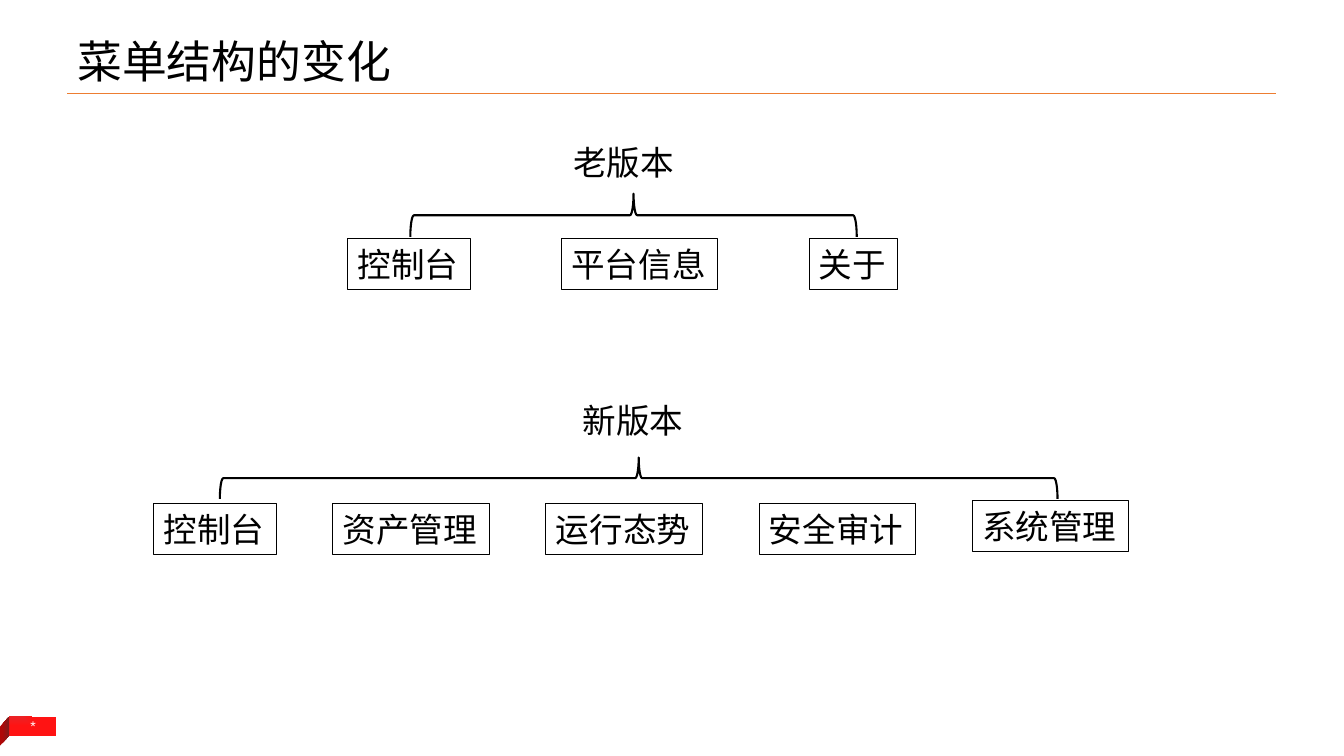
from dataclasses import dataclass

from lxml import etree
from pptx import Presentation
from pptx import util as u
from pptx.dml.color import RGBColor
from pptx.enum import shapes, text
from pptx.oxml.ns import qn
from pptx.shapes.autoshape import Shape
from pptx.slide import Slide


@dataclass(frozen=True)
class Theme:
    ink: str = "000000"
    paper: str = "FFFFFF"
    rule: str = "ED7D31"
    ribbon: tuple = ((0, "EC2225"), (100, "FF1313"))
    fold: tuple = ((0, "AF0707"), (47, "AF0707"), (100, "7F1B1B"))
    title_font: str = "Calibri"
    body_font: str = "Noto Sans CJK SC"
    marker_font: str = "Arial"
    title_size: int = 32
    body_size: int = 24
    marker_size: int = 10
    thin: float = 0.75
    thick: float = 1.5


@dataclass(frozen=True)
class Box:
    left: float
    top: float
    width: float
    height: float

    def lengths(self) -> list[u.Length]:
        return [u.Cm(value) for value in (self.left, self.top, self.width, self.height)]


@dataclass(frozen=True)
class Menu:
    caption: str
    caption_box: Box
    brace: Box
    items: tuple[str, ...]
    left: float
    top: float
    gap: float
    last_lift: float = 0


THEME = Theme()
ITEM_HEIGHT = 1.28
CHARACTER_WIDTH = 0.85
ITEM_PADDING = 0.54

MENUS = (
    Menu("老版本", Box(14.2, 3.45, 3.07, ITEM_HEIGHT), Box(10.34, 4.88, 11.25, 1.09),
         ("控制台", "平台信息", "关于"), 8.76, 6.02, 2.3),
    Menu("新版本", Box(14.43, 9.96, 3.07, ITEM_HEIGHT), Box(5.54, 11.53, 21.11, 1.04),
         ("控制台", "资产管理", "运行态势", "安全审计", "系统管理"), 3.87, 12.7, 1.43, 0.08),
)


def write(shape: Shape, words: str, font: str = THEME.body_font,
          size: int = THEME.body_size, color: str = THEME.ink) -> None:
    frame = shape.text_frame
    frame.word_wrap = False
    frame.auto_size = text.MSO_AUTO_SIZE.SHAPE_TO_FIT_TEXT
    frame.vertical_anchor = text.MSO_ANCHOR.TOP
    paragraph = frame.paragraphs[0]
    paragraph.text = words
    paragraph.alignment = text.PP_ALIGN.LEFT
    paragraph.font.size = u.Pt(size)
    paragraph.font.color.rgb = RGBColor.from_string(color)
    paragraph.font.name = font
    properties = paragraph._p.pPr.find(qn("a:defRPr"))
    etree.SubElement(properties, qn("a:ea"), typeface=THEME.body_font)


def outline(shape: Shape, width: float) -> None:
    shape.shadow.inherit = False
    shape.fill.background()
    shape.line.color.rgb = RGBColor.from_string(THEME.ink)
    shape.line.width = u.Pt(width)


def shade(shape: Shape, stops: tuple, radial: bool) -> None:
    shape.shadow.inherit = False
    shape.line.fill.background()
    shape.fill.gradient()
    gradient = shape._element.spPr.find(qn("a:gradFill"))
    for child in list(gradient):
        gradient.remove(child)
    stop_list = etree.SubElement(gradient, qn("a:gsLst"))
    for position, color in stops:
        stop = etree.SubElement(stop_list, qn("a:gs"), pos=str(position * 1000))
        etree.SubElement(stop, qn("a:srgbClr"), val=color)
    if radial:
        direction = etree.SubElement(gradient, qn("a:path"), path="rect")
        etree.SubElement(direction, qn("a:fillToRect"), r="100000", b="100000")
    else:
        etree.SubElement(gradient, qn("a:lin"), ang="0", scaled="0")


def draw_page_marker(slide: Slide) -> None:
    ribbon = slide.shapes.add_shape(
        shapes.MSO_SHAPE.RECTANGLE, *Box(0.23, 18.06, 1.19, 0.48).lengths())
    shade(ribbon, THEME.ribbon, radial=True)
    ribbon._element.spPr.xfrm.set("flipH", "1")

    corners = [(u.Cm(x), u.Cm(y)) for x, y in
               ((0.23, 18.06), (-0.1, 18.42), (-0.1, 18.9), (0.23, 18.54))]
    builder = slide.shapes.build_freeform(*corners[0])
    builder.add_line_segments(corners[1:], close=True)
    shade(builder.convert_to_shape(), THEME.fold, radial=False)

    marker = slide.shapes.add_textbox(*Box(0.43, 17.91, 0.81, 0.76).lengths())
    write(marker, "*", THEME.marker_font, THEME.marker_size, THEME.paper)
    frame = marker.text_frame
    frame.margin_left = frame.margin_right = u.Cm(0.33)
    frame.margin_top = frame.margin_bottom = u.Cm(0.18)
    frame.paragraphs[0].alignment = text.PP_ALIGN.CENTER


def draw_title(slide: Slide, words: str) -> None:
    rule = slide.shapes.add_connector(
        shapes.MSO_CONNECTOR.STRAIGHT, u.Cm(1.7), u.Cm(2.36), u.Cm(32.16), u.Cm(2.36))
    rule.line.color.rgb = RGBColor.from_string(THEME.rule)
    rule.line.width = u.Pt(THEME.thin)
    etree.SubElement(rule._element.spPr, qn("a:effectLst"))

    title = slide.shapes.add_textbox(*Box(1.7, 0.53, 30.48, 1.83).lengths())
    write(title, words, THEME.title_font, THEME.title_size)
    frame = title.text_frame
    frame.word_wrap = True
    frame.auto_size = text.MSO_AUTO_SIZE.NONE
    frame.vertical_anchor = text.MSO_ANCHOR.BOTTOM
    frame.paragraphs[0].line_spacing = 0.9


def draw_brace(slide: Slide, span: Box) -> None:
    upright = Box(span.left + (span.width - span.height) / 2,
                  span.top + (span.height - span.width) / 2,
                  span.height, span.width)
    brace = slide.shapes.add_shape(shapes.MSO_SHAPE.LEFT_BRACE, *upright.lengths())
    brace.rotation = 90
    outline(brace, THEME.thick)


def draw_menu(slide: Slide, menu: Menu) -> None:
    write(slide.shapes.add_textbox(*menu.caption_box.lengths()), menu.caption)
    draw_brace(slide, menu.brace)
    left = menu.left
    for index, label in enumerate(menu.items, start=1):
        width = CHARACTER_WIDTH * len(label) + ITEM_PADDING
        top = menu.top - (menu.last_lift if index == len(menu.items) else 0)
        item = slide.shapes.add_shape(
            shapes.MSO_SHAPE.RECTANGLE, *Box(left, top, width, ITEM_HEIGHT).lengths())
        outline(item, THEME.thin)
        write(item, label)
        left += width + menu.gap


def main() -> None:
    presentation = Presentation()
    presentation.slide_width = u.Cm(33.87)
    presentation.slide_height = u.Cm(19.05)
    slide = presentation.slides.add_slide(presentation.slide_layouts[6])
    draw_page_marker(slide)
    draw_title(slide, "菜单结构的变化")
    for menu in MENUS:
        draw_menu(slide, menu)
    presentation.save("out.pptx")


main()
